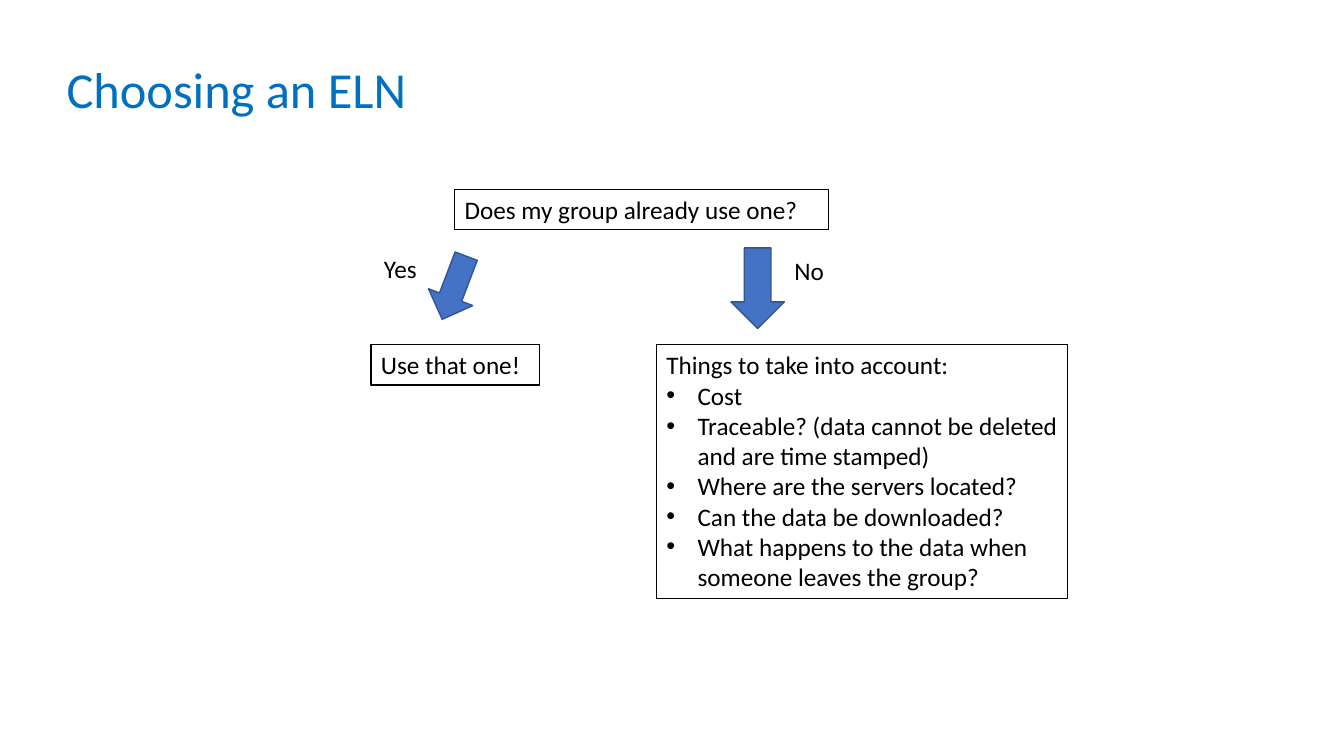
from lxml.etree import SubElement
from pptx import Presentation
from pptx.dml.color import RGBColor
from pptx.enum.shapes import MSO_SHAPE as Shape
from pptx.enum.text import MSO_ANCHOR as Anchor, MSO_AUTO_SIZE as AutoSize, PP_ALIGN as Align
from pptx.oxml.ns import qn
from pptx.util import Inches, Pt

COLORS = {"title": "0070C0", "text": "000000", "border": "000000",
          "arrow": "4472C4", "arrow_edge": "325491"}
FONT = "Calibri"
ANSWER_DROP = 0.96
CRITERIA = [
    "Cost",
    "Traceable? (data cannot be deleted and are time stamped)",
    "Where are the servers located?",
    "Can the data be downloaded?",
    "What happens to the data when someone leaves the group?",
]


def color(key):
    return RGBColor.from_string(COLORS[key])


def style(paragraph, size, key):
    paragraph.alignment = Align.LEFT
    paragraph.font.name = FONT
    paragraph.font.size = Pt(size)
    paragraph.font.color.rgb = color(key)


def add_bullet(paragraph):
    properties = paragraph._p.get_or_add_pPr()
    properties.set("marL", str(Inches(0.31)))
    properties.set("indent", str(-Inches(0.31)))
    SubElement(properties, qn("a:buFont")).set("typeface", "Arial")
    SubElement(properties, qn("a:buChar")).set("char", "•")


def add_title(slide, text, left, top, width, height):
    title = slide.shapes.title
    title.left, title.top = Inches(left), Inches(top)
    title.width, title.height = Inches(width), Inches(height)
    frame = title.text_frame
    frame.text = text
    frame.auto_size = AutoSize.NONE
    frame.vertical_anchor = Anchor.TOP
    style(frame.paragraphs[0], 36, "title")


def add_text(slide, text, left, top, width, height=0.4, wrap=True):
    box = slide.shapes.add_textbox(Inches(left), Inches(top), Inches(width), Inches(height))
    frame = box.text_frame
    frame.word_wrap = wrap
    frame.text = text
    style(frame.paragraphs[0], 18, "text")
    return box


def add_framed_text(slide, text, left, top, width, height=0.4, bullets=()):
    box = add_text(slide, text, left, top, width, height)
    box.line.color.rgb = color("border")
    box.line.width = Pt(0.75)
    for bullet in bullets:
        paragraph = box.text_frame.add_paragraph()
        paragraph.text = bullet
        style(paragraph, 18, "text")
        add_bullet(paragraph)


def add_arrow(slide, left, top, width, height, rotation=0):
    arrow = slide.shapes.add_shape(Shape.DOWN_ARROW, Inches(left), Inches(top),
                                   Inches(width), Inches(height))
    arrow.rotation = rotation
    arrow.shadow.inherit = False
    arrow.fill.solid()
    arrow.fill.fore_color.rgb = color("arrow")
    arrow.line.color.rgb = color("arrow_edge")
    arrow.line.width = Pt(1)


def add_yes_branch(slide, left, top, width):
    add_text(slide, "Yes", left + 0.03, top, 0.53, wrap=False)
    add_arrow(slide, left + 0.59, top + 0.06, 0.47, 0.67, rotation=20.8)
    add_framed_text(slide, "Use that one!", left, top + ANSWER_DROP, width)


def add_no_branch(slide, left, top, width):
    add_arrow(slide, left + 0.74, top, 0.53, 0.8)
    add_text(slide, "No", left + 1.27, top + 0.02, 0.5, wrap=False)
    add_framed_text(slide, "Things to take into account:", left, top + ANSWER_DROP,
                    width, 2.52, CRITERIA)


def main():
    deck = Presentation()
    deck.slide_width, deck.slide_height = Inches(13.33), Inches(7.5)
    slide = deck.slides.add_slide(deck.slide_layouts[5])
    add_title(slide, "Choosing an ELN", 0.56, 0.53, 10.35, 0.71)
    add_framed_text(slide, "Does my group already use one?", 4.51, 1.88, 3.71)
    add_yes_branch(slide, 3.68, 2.46, 1.67)
    add_no_branch(slide, 6.51, 2.46, 4.08)
    deck.save("out.pptx")


if __name__ == "__main__":
    main()
